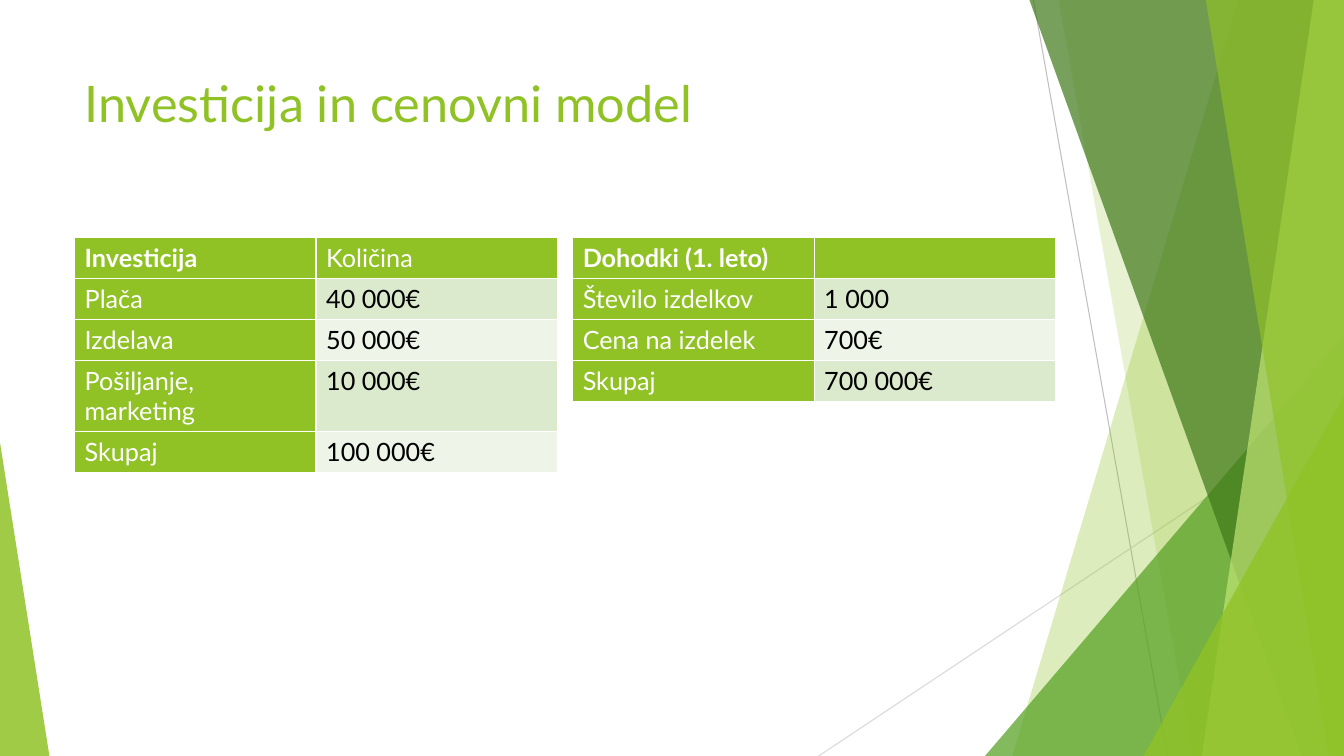
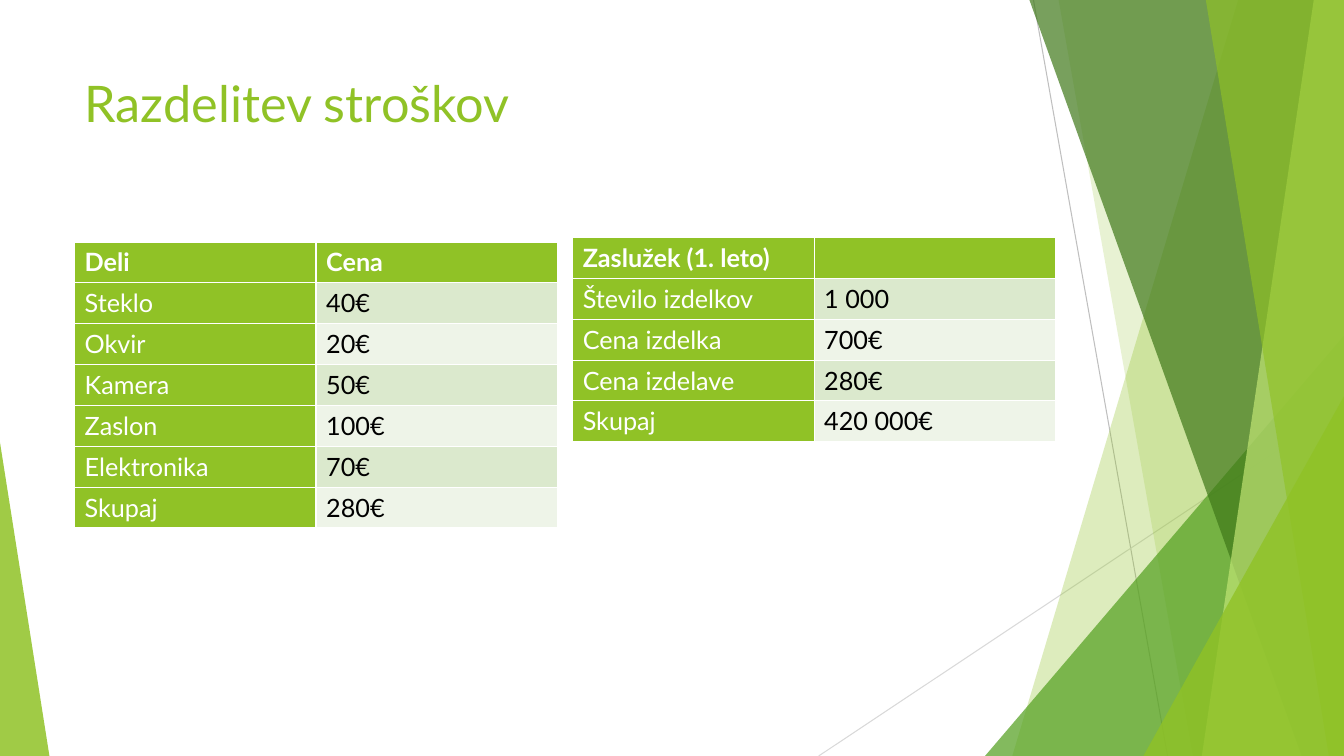
from dataclasses import dataclass

from lxml.etree import SubElement
from pptx import Presentation
from pptx.dml.color import RGBColor
from pptx.enum.shapes import MSO_CONNECTOR, MSO_SHAPE
from pptx.enum.text import MSO_ANCHOR, PP_ALIGN
from pptx.oxml.ns import qn
from pptx.shapes.autoshape import Shape
from pptx.slide import Slide, SlideLayout
from pptx.text.text import Font
from pptx.util import Inches, Pt

LIME = RGBColor(0x90, 0xC2, 0x26)
PALE_LIME = RGBColor(0xC0, 0xE4, 0x74)
GREEN = RGBColor(0x54, 0xA0, 0x21)
DARK_GREEN = RGBColor(0x3F, 0x78, 0x19)
BAND_DARK = RGBColor(0xDB, 0xE9, 0xCD)
BAND_LIGHT = RGBColor(0xEE, 0xF4, 0xE8)
GREY = RGBColor(0xBF, 0xBF, 0xBF)
LIGHT_GREY = RGBColor(0xD9, 0xD9, 0xD9)
WHITE = RGBColor(0xFF, 0xFF, 0xFF)
BLACK = RGBColor(0x00, 0x00, 0x00)

FONT = "Lato"
WIDTH, HEIGHT = 13.33, 7.5
LEFT_TABLE, RIGHT_TABLE = 0.74, 5.68
TABLE_TOP, TABLE_WIDTH = 2.36, 4.79
TITLE_BOX = (0.74, 0.67, 9.4, 1.44)


@dataclass(frozen=True)
class Ray:
    start: tuple[float, float]
    end: tuple[float, float]
    color: RGBColor


@dataclass(frozen=True)
class Band:
    """A panel reaching the right edge, with a slanted left side."""
    top_x: float
    bottom_x: float
    color: RGBColor
    opacity: int


@dataclass(frozen=True)
class Wedge:
    """A right triangle standing on the bottom edge."""
    left: float
    top: float
    width: float
    apex: float
    color: RGBColor
    opacity: int


@dataclass(frozen=True)
class PriceTable:
    left: float
    height: float
    rows: list[tuple[str, str]]
    top: float = TABLE_TOP
    second_header_bold: bool = True


@dataclass(frozen=True)
class Content:
    title: str
    tables: list[PriceTable]


BACKDROP = [
    Ray((10.25, 0), (11.58, HEIGHT), GREY),
    Ray((WIDTH, 4.03), (8.12, HEIGHT), LIGHT_GREY),
    Band(12.28, 10.04, LIME, 30),
    Band(10.5, 11.83, LIME, 20),
    Wedge(9.77, 3.33, 3.56, 1, GREEN, 72),
    Band(10.21, 12.91, DARK_GREEN, 70),
    Band(13.03, 11.92, PALE_LIME, 70),
    Band(11.96, 13.18, LIME, 65),
    Wedge(11.34, 3.93, 1.99, 1, LIME, 80),
    Wedge(0, 4.39, 0.49, 0, LIME, 85),
]

CONTENTS = [
    Content("Investicija in cenovni model", [
        PriceTable(LEFT_TABLE, 2.03, [
            ("Investicija", "Količina"),
            ("Plača", "40 000€"),
            ("Izdelava", "50 000€"),
            ("Pošiljanje, marketing", "10 000€"),
            ("Skupaj", "100 000€"),
        ], second_header_bold=False),
        PriceTable(RIGHT_TABLE, 1.62, [
            ("Dohodki (1. leto)", ""),
            ("Število izdelkov", "1 000"),
            ("Cena na izdelek", "700€"),
            ("Skupaj", "700 000€"),
        ]),
    ]),
    Content("Razdelitev stroškov", [
        PriceTable(LEFT_TABLE, 2.84, [
            ("Deli", "Cena"),
            ("Steklo", "40€"),
            ("Okvir", "20€"),
            ("Kamera", "50€"),
            ("Zaslon", "100€"),
            ("Elektronika", "70€"),
            ("Skupaj", "280€"),
        ], top=2.4),
        PriceTable(RIGHT_TABLE, 2.02, [
            ("Zaslužek (1. leto)", ""),
            ("Število izdelkov", "1 000"),
            ("Cena izdelka", "700€"),
            ("Cena izdelave", "280€"),
            ("Skupaj", "420 000€"),
        ]),
    ]),
]


def style_font(font: Font, size: int, color: RGBColor, bold: bool = False) -> None:
    font.name = FONT
    font.size = Pt(size)
    font.bold = bold
    font.color.rgb = color


def fill_shape(shape: Shape, color: RGBColor, opacity: int) -> None:
    shape.shadow.inherit = False
    shape.line.fill.background()
    shape.fill.solid()
    shape.fill.fore_color.rgb = color
    color_element = shape.element.spPr.find(qn("a:solidFill"))[0]
    SubElement(color_element, qn("a:alpha")).set("val", str(opacity * 1000))


def add_ray(page: Slide, ray: Ray) -> None:
    points = [Inches(value) for value in (*ray.start, *ray.end)]
    connector = page.shapes.add_connector(MSO_CONNECTOR.STRAIGHT, *points)
    connector.line.color.rgb = ray.color
    connector.line.width = Pt(0.75)
    SubElement(connector.element.spPr, qn("a:effectLst"))


def add_band(page: Slide, band: Band) -> None:
    builder = page.shapes.build_freeform(Inches(band.top_x), 0)
    corners = [(WIDTH, 0), (WIDTH, HEIGHT), (band.bottom_x, HEIGHT)]
    builder.add_line_segments([(Inches(x), Inches(y)) for x, y in corners])
    fill_shape(builder.convert_to_shape(), band.color, band.opacity)


def add_wedge(page: Slide, wedge: Wedge) -> None:
    shape = page.shapes.add_shape(
        MSO_SHAPE.ISOSCELES_TRIANGLE, Inches(wedge.left), Inches(wedge.top),
        Inches(wedge.width), Inches(HEIGHT - wedge.top))
    shape.adjustments[0] = wedge.apex
    fill_shape(shape, wedge.color, wedge.opacity)


def build_backdrop(page: Slide, layout: SlideLayout) -> None:
    """Draw the backdrop on a page, then move it to the layout all pages share."""
    for placeholder in list(layout.placeholders)[1:]:
        layout.shapes.element.remove(placeholder.element)
    painters = {Ray: add_ray, Band: add_band, Wedge: add_wedge}
    for item in BACKDROP:
        painters[type(item)](page, item)
    for shape in list(page.shapes):
        if not shape.is_placeholder:
            layout.shapes.element.append(shape.element)


def add_title(page: Slide, text: str) -> None:
    title = page.shapes.title
    title.left, title.top, title.width, title.height = map(Inches, TITLE_BOX)
    title.text_frame.text = text
    title.text_frame.vertical_anchor = MSO_ANCHOR.TOP
    paragraph = title.text_frame.paragraphs[0]
    paragraph.alignment = PP_ALIGN.LEFT
    style_font(paragraph.runs[0].font, 36, LIME)


def add_price_table(page: Slide, spec: PriceTable) -> None:
    table = page.shapes.add_table(
        len(spec.rows), 2, Inches(spec.left), Inches(spec.top),
        Inches(TABLE_WIDTH), Inches(spec.height)).table
    table.first_col = True
    for row, texts in enumerate(spec.rows):
        for column, text in enumerate(texts):
            is_header = row == 0
            is_value = column == 1 and not is_header
            band_color = BAND_DARK if row % 2 else BAND_LIGHT
            cell = table.cell(row, column)
            cell.fill.solid()
            cell.fill.fore_color.rgb = band_color if is_value else LIME
            cell.text_frame.text = text
            bold = is_header and (column == 0 or spec.second_header_bold)
            for run in cell.text_frame.paragraphs[0].runs:
                style_font(run.font, 18, BLACK if is_value else WHITE, bold)


def main() -> None:
    deck = Presentation()
    deck.slide_width, deck.slide_height = Inches(WIDTH), Inches(HEIGHT)
    layout = deck.slide_layouts.get_by_name("Title Only")
    pages = [deck.slides.add_slide(layout) for _ in CONTENTS]
    build_backdrop(pages[0], layout)
    for page, content in zip(pages, CONTENTS):
        add_title(page, content.title)
        for spec in content.tables:
            add_price_table(page, spec)
    deck.save("out.pptx")


if __name__ == "__main__":
    main()
